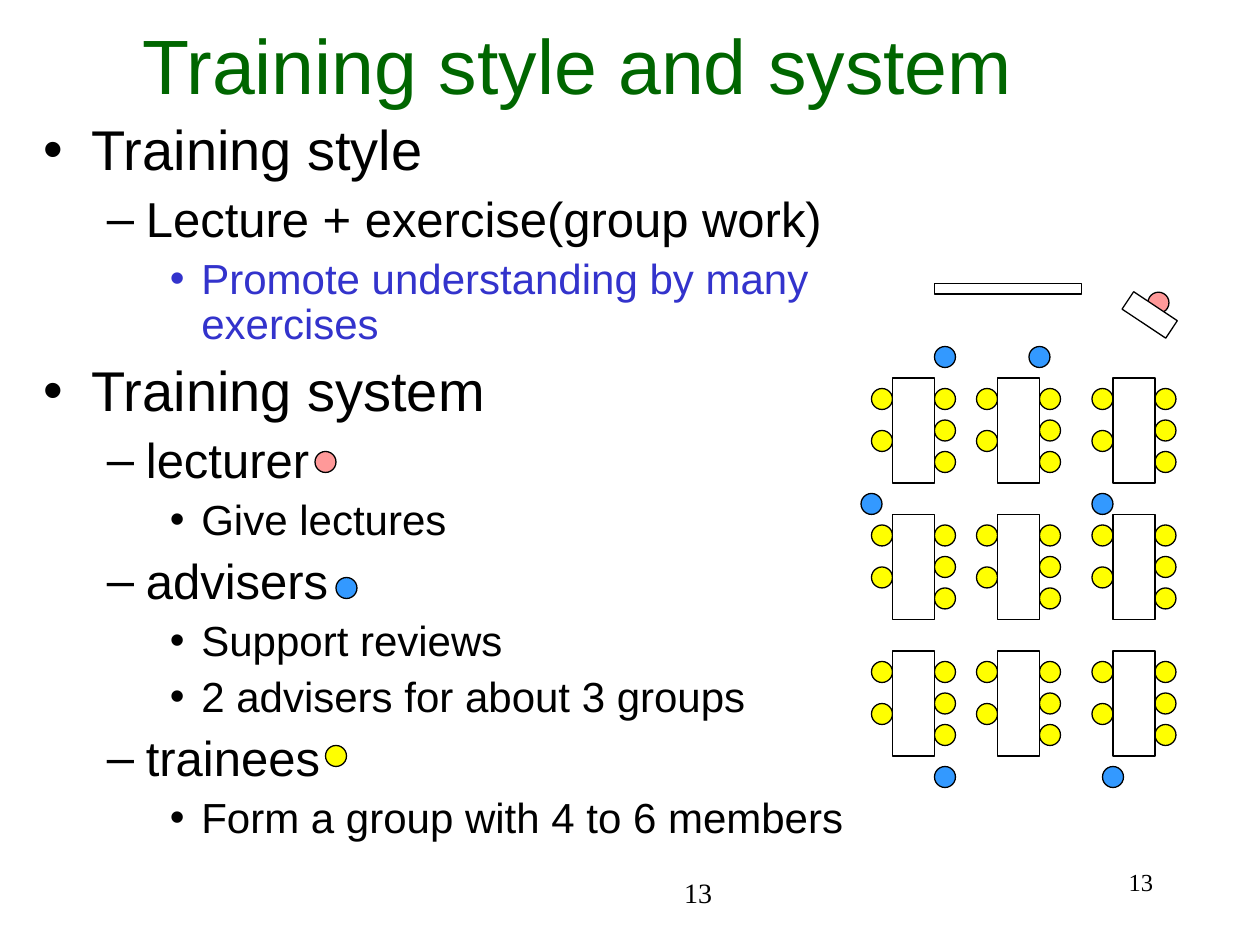
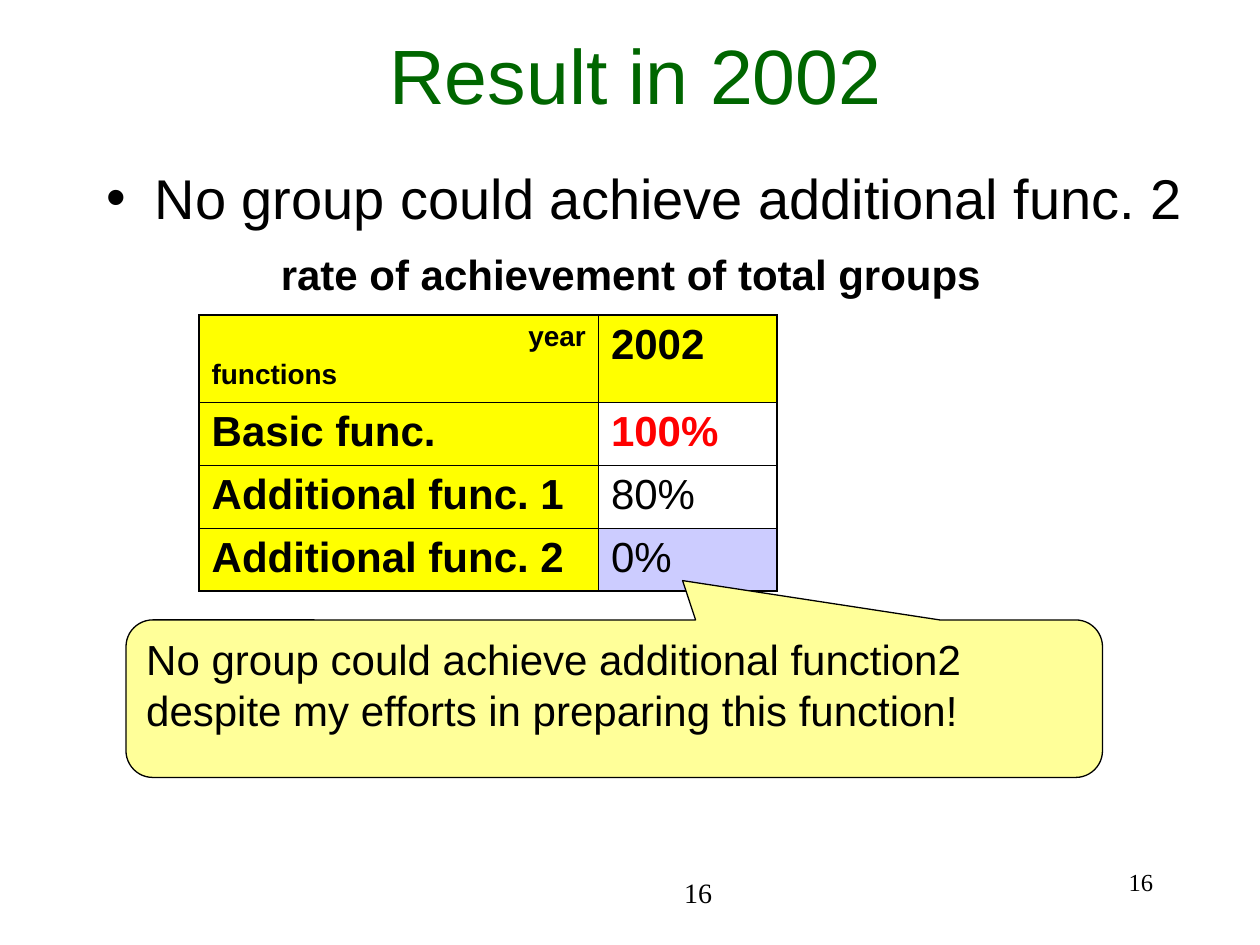
from dataclasses import dataclass
from itertools import product
from typing import Any, NamedTuple

from lxml import etree
from pptx import Presentation
from pptx import util as u
from pptx.dml.color import RGBColor
from pptx.enum import shapes, text
from pptx.oxml.ns import qn

BLACK = RGBColor(0, 0, 0)
WHITE = RGBColor(0xFF, 0xFF, 0xFF)
GREEN = RGBColor(0, 0x66, 0)
INDIGO = RGBColor(0x33, 0x33, 0xCC)
RED = RGBColor(0xFF, 0, 0)
YELLOW = RGBColor(0xFF, 0xFF, 0)
LAVENDER = RGBColor(0xCC, 0xCC, 0xFF)
CREAM = RGBColor(0xFF, 0xFF, 0x99)
LECTURER = RGBColor(0xFF, 0x99, 0x99)
ADVISER = RGBColor(0x33, 0x99, 0xFF)
TRAINEE = YELLOW

SANS = "Arial"
SERIF = "Times New Roman"
LEFT, CENTER, RIGHT = text.PP_ALIGN.LEFT, text.PP_ALIGN.CENTER, text.PP_ALIGN.RIGHT
TOP, MIDDLE = text.MSO_ANCHOR.TOP, text.MSO_ANCHOR.MIDDLE
OVAL, RECT = shapes.MSO_SHAPE.OVAL, shapes.MSO_SHAPE.RECTANGLE
THIN, THICK = 0.45, 1.08
GRID_PER_INCH = 12
DOT_SIZE = 2


class Area(NamedTuple):
    left: float
    top: float
    width: float
    height: float

    def lengths(self) -> list[u.Length]:
        return [u.Inches(value) for value in self]


class Level(NamedTuple):
    mark: str
    margin: float
    hanging: float
    size: int
    before: int


@dataclass
class Line:
    words: str
    size: float
    color: RGBColor = BLACK
    bold: bool = False
    font: str = SANS
    align: Any = LEFT
    before: float = 0
    spacing: float = 1.0
    margin: float = 0
    hanging: float = 0
    mark: str = ""


@dataclass
class Cell:
    lines: list[Line]
    fill: RGBColor


LEVELS = (
    Level("•", 0.38, 0.38, 32, 8),
    Level("–", 0.81, 0.31, 28, 7),
    Level("•", 1.25, 0.25, 24, 6),
)


def apply(target: Any, formats: dict[str, Any]) -> None:
    for name, value in formats.items():
        setattr(target, name, value)


def bullet(depth: int, words: str, color: RGBColor = BLACK, spacing: float = 0.9) -> Line:
    level = LEVELS[depth]
    return Line(words, level.size, color, before=level.before, spacing=spacing,
                margin=level.margin, hanging=level.hanging, mark=level.mark)


def indent(para: Any, line: Line) -> None:
    props = para._p.get_or_add_pPr()
    props.set("marL", str(u.Inches(line.margin)))
    props.set("indent", str(-u.Inches(line.hanging)))
    if line.mark:
        tint = etree.SubElement(props, qn("a:buClr"))
        etree.SubElement(tint, qn("a:srgbClr"), val=str(line.color))
        etree.SubElement(props, qn("a:buFont"), typeface=SANS)
        etree.SubElement(props, qn("a:buChar"), char=line.mark)


def write(frame: Any, lines: list[Line], anchor: Any = TOP) -> None:
    apply(frame, {"word_wrap": True, "vertical_anchor": anchor})
    for index, line in enumerate(lines):
        para = frame.add_paragraph() if index else frame.paragraphs[0]
        indent(para, line)
        apply(para, {
            "alignment": line.align,
            "line_spacing": line.spacing,
            "space_before": u.Pt(line.before if index else 0),
        })
        span = para.add_run()
        span.text = line.words
        apply(span.font, {"name": line.font, "size": u.Pt(line.size), "bold": line.bold})
        span.font.color.rgb = line.color


def add_text(page: Any, area: Area, lines: list[Line], anchor: Any = TOP) -> None:
    box = page.shapes.add_textbox(*area.lengths())
    write(box.text_frame, lines, anchor)


def add_shape(page: Any, kind: Any, area: Area, fill: RGBColor, turn: float = 0) -> Any:
    shape = page.shapes.add_shape(kind, *area.lengths())
    shape.shadow.inherit = False
    shape.fill.solid()
    shape.fill.fore_color.rgb = fill
    shape.line.color.rgb = BLACK
    shape.line.width = u.Pt(0.75)
    shape.rotation = turn
    return shape


def on_grid(left: float, top: float, width: float, height: float) -> Area:
    return Area(*(value / GRID_PER_INCH for value in (left, top, width, height)))


def add_dot(page: Any, left: float, top: float, fill: RGBColor) -> None:
    add_shape(page, OVAL, on_grid(left, top, DOT_SIZE, DOT_SIZE), fill)


def add_group(page: Any, left: float, top: float) -> None:
    seats = [(-DOT_SIZE, 1), (-DOT_SIZE, 5), (4, 1), (4, 4), (4, 7)]
    for across, down in seats:
        add_dot(page, left + across, top + down, TRAINEE)
    add_shape(page, RECT, on_grid(left, top, 4, 10), WHITE)


def add_page(deck: Any, title: str, title_area: Area, number: int) -> Any:
    page = deck.slides.add_slide(deck.slide_layouts[6])
    for area, size, anchor in (
        (Area(4.42, 6.92, 1.33, 0.33), 16, MIDDLE),
        (Area(7.17, 6.83, 2.08, 0.5), 14, TOP),
    ):
        add_text(page, area, [Line(str(number), size, font=SERIF, align=RIGHT)], anchor)
    add_text(page, title_area, [Line(title, 44, GREEN, align=CENTER)], MIDDLE)
    return page


def add_borders(cell: Any, widths: dict[str, float]) -> None:
    props = cell._tc.get_or_add_tcPr()
    for side, width in widths.items():
        edge = etree.SubElement(props, qn(f"a:ln{side}"), w=str(u.Pt(width)))
        fill = etree.SubElement(edge, qn("a:solidFill"))
        etree.SubElement(fill, qn("a:srgbClr"), val=str(BLACK))


def add_grid(page: Any, area: Area, columns: list[float], heights: list[float],
             rows: list[list[Cell]]) -> None:
    table = page.shapes.add_table(len(rows), len(columns), *area.lengths()).table
    apply(table, {"first_row": False, "horz_banding": False})
    for column, width in zip(table.columns, columns):
        column.width = u.Inches(width)
    for row, height in zip(table.rows, heights):
        row.height = u.Inches(height)
    for r, c in product(range(len(rows)), range(len(columns))):
        cell, content = table.cell(r, c), rows[r][c]
        outer = {"L": c == 0, "R": c == len(columns) - 1,
                 "T": r == 0, "B": r == len(rows) - 1}
        add_borders(cell, {side: THICK if edge else THIN for side, edge in outer.items()})
        cell.fill.solid()
        cell.fill.fore_color.rgb = content.fill
        write(cell.text_frame, content.lines)


def add_classroom(page: Any) -> None:
    add_shape(page, RECT, on_grid(89, 27, 14, 1), WHITE)
    add_dot(page, 109.33, 27.83, LECTURER)
    add_shape(page, RECT, on_grid(107, 29, 5, 2), WHITE, 33.6)
    for row, left in product(range(3), (85, 95, 106)):
        add_group(page, left, 36 + 13 * row)
    for left, top in ((89, 33), (98, 33), (82, 47), (104, 47), (89, 73), (105, 73)):
        add_dot(page, left, top, ADVISER)


def build_training(deck: Any) -> None:
    page = add_page(deck, "Training style and system", Area(1, 0.17, 7.17, 0.67), 13)
    add_text(page, Area(0.25, 0.92, 6.67, 6), [
        bullet(0, "Training style"),
        bullet(1, "Lecture + exercise(group work)"),
        bullet(2, "Promote understanding by many exercises", INDIGO),
        bullet(0, "Training system"),
        bullet(1, "lecturer"),
        bullet(2, "Give lectures"),
        bullet(1, "advisers"),
        bullet(2, "Support reviews"),
        bullet(2, "2 advisers for about 3 groups"),
        bullet(1, "trainees"),
        bullet(2, "Form a group with 4 to 6 members"),
    ])
    add_classroom(page)
    for left, top, role in ((30, 43, LECTURER), (32, 55, ADVISER), (31, 71, TRAINEE)):
        add_dot(page, left, top, role)


def build_result(deck: Any) -> None:
    page = add_page(deck, "Result in 2002", Area(1.92, 0.17, 6.25, 0.83), 16)
    add_text(page, Area(0.75, 1.25, 8.92, 2.74), [
        bullet(0, "No group could achieve additional func. 2", spacing=1.0),
        Line("rate of achievement of total groups", 24, bold=True, before=10, margin=1.38),
    ])
    corner = [Line("year", 16, bold=True, align=RIGHT),
              Line("functions", 16, bold=True, before=4)]
    rows = [[Cell(corner, YELLOW), Cell([Line("2002", 24, bold=True)], YELLOW)]]
    for function, rate, color, bold, fill in (
        ("Basic func.", "100%", RED, True, WHITE),
        ("Additional func. 1", "80%", BLACK, False, WHITE),
        ("Additional func. 2", "0%", BLACK, False, LAVENDER),
    ):
        rows.append([Cell([Line(function, 24, bold=True)], YELLOW),
                     Cell([Line(rate, 24, color, bold)], fill)])
    add_grid(page, Area(1.58, 2.5, 4.59, 2.19), [3.17, 1.42], [0.69, 0.5, 0.5, 0.5], rows)
    callout = add_shape(page, shapes.MSO_SHAPE.ROUNDED_RECTANGULAR_CALLOUT,
                        Area(1, 4.92, 7.75, 1.25), CREAM)
    for index, value in enumerate((0.07, -0.75, 0.17)):
        callout.adjustments[index] = value
    write(callout.text_frame, [Line(
        "No group could achieve additional function2 "
        "despite my efforts in preparing this function!", 24)])


def main() -> None:
    deck = Presentation()
    apply(deck, {"slide_width": u.Inches(10), "slide_height": u.Inches(7.5)})
    build_training(deck)
    build_result(deck)
    deck.save("out.pptx")


if __name__ == "__main__":
    main()
